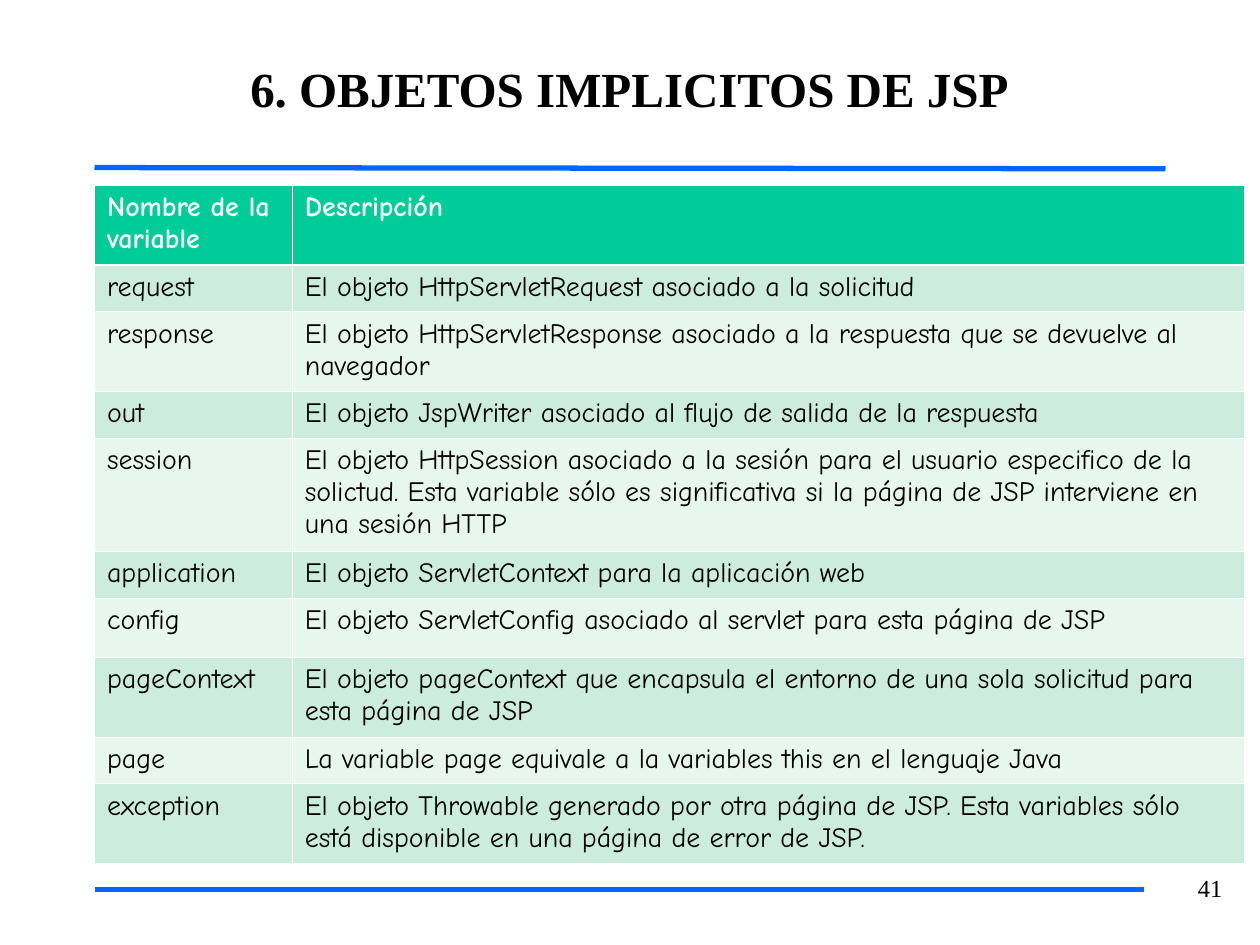
from lxml.etree import SubElement as Sub
from pptx import Presentation
from pptx.dml.color import RGBColor
from pptx.enum.shapes import MSO_CONNECTOR as Conn
from pptx.enum.text import MSO_ANCHOR as Anchor, PP_ALIGN as Align
from pptx.oxml.ns import qn
from pptx.util import Inches, Pt

BLACK = RGBColor(0x00, 0x00, 0x00)
WHITE = RGBColor(0xFF, 0xFF, 0xFF)
BLUE = RGBColor(0x00, 0x66, 0xFF)
GREEN = RGBColor(0x00, 0xCC, 0x99)
MINT = RGBColor(0xCB, 0xEC, 0xDE)
PALE = RGBColor(0xE7, 0xF6, 0xEF)

ROWS = [
    (0.63, "Nombre de la variable", "Descripción"),
    (0.37, "request", "El objeto HttpServletRequest asociado a la solicitud"),
    (0.63, "response", "El objeto HttpServletResponse asociado a la respuesta "
     "que se devuelve al navegador"),
    (0.37, "out", "El objeto JspWriter asociado al flujo de salida de la respuesta"),
    (0.9, "session", "El objeto HttpSession asociado a la sesión para el usuario "
     "especifico de la solictud. Esta variable sólo es significativa si la página "
     "de JSP interviene en una sesión HTTP"),
    (0.37, "application", "El objeto ServletContext para la aplicación web"),
    (0.47, "config", "El objeto ServletConfig asociado al servlet para esta página de JSP"),
    (0.63, "pageContext", "El objeto pageContext que encapsula el entorno de una "
     "sola solicitud para esta página de JSP"),
    (0.37, "page", "La variable page equivale a la variables this en el lenguaje Java"),
    (0.63, "exception", "El objeto Throwable generado por otra página de JSP. Esta "
     "variables sólo está disponible en una página de error de JSP."),
]


def write(frame, text, font="Times New Roman", size=14, color=BLACK,
          bold=False, align=Align.LEFT, space=None):
    par = frame.paragraphs[0]
    par.alignment = align
    if space:
        par.line_spacing = space
    run = par.add_run()
    run.text = text
    run.font.name = font
    run.font.size = Pt(size)
    run.font.bold = bold
    run.font.color.rgb = color


def edge(cell, side, width):
    line = Sub(cell._tc.get_or_add_tcPr(), qn(f"a:ln{side}"), w=str(Pt(width)))
    fill = Sub(line, qn("a:solidFill"))
    Sub(fill, qn("a:srgbClr"), val=str(WHITE))


class Page:
    font = "Comic Neue"
    size = 16
    thin = 0.45
    thick = 1.47

    def __init__(self, deck):
        self.slide = deck.slides.add_slide(deck.slide_layouts[5])
        self.shapes = self.slide.shapes

    def title(self, text, left, top, width, height):
        box = self.shapes.title
        box.left, box.top = Inches(left), Inches(top)
        box.width, box.height = Inches(width), Inches(height)
        frame = box.text_frame
        frame.margin_left = frame.margin_right = 0
        frame.margin_top = frame.margin_bottom = 0
        frame.vertical_anchor = Anchor.MIDDLE
        write(frame, text, size=28, bold=True, align=Align.CENTER)

    def rule(self, x1, y1, x2, y2):
        line = self.shapes.add_connector(
            Conn.STRAIGHT, Inches(x1), Inches(y1), Inches(x2), Inches(y2))
        line.line.color.rgb = BLUE
        line.line.width = Pt(3)
        Sub(line._element.spPr, qn("a:effectLst"))

    def number(self, text, left, top, width, height):
        box = self.shapes.add_textbox(
            Inches(left), Inches(top), Inches(width), Inches(height))
        box.text_frame.word_wrap = True
        write(box.text_frame, text, align=Align.RIGHT, space=0.93)

    def table(self, rows, left, top, cols):
        high = sum(row[0] for row in rows)
        grid = self.shapes.add_table(
            len(rows), len(cols), Inches(left), Inches(top),
            Inches(sum(cols)), Inches(high)).table
        for col, width in zip(grid.columns, cols):
            col.width = Inches(width)
        for i, (height, *texts) in enumerate(rows):
            grid.rows[i].height = Inches(height)
            for j, text in enumerate(texts):
                self.cell(grid.cell(i, j), text, i)

    def cell(self, cell, text, row):
        head = row == 0
        for side in "LRTB":
            heavy = (side, row) in (("B", 0), ("T", 1))
            edge(cell, side, self.thick if heavy else self.thin)
        cell.fill.solid()
        cell.fill.fore_color.rgb = GREEN if head else (PALE, MINT)[row % 2]
        write(cell.text_frame, text, font=self.font, size=self.size,
              color=WHITE if head else BLACK, bold=head)


def main():
    deck = Presentation()
    deck.slide_width, deck.slide_height = Inches(10), Inches(7.5)
    page = Page(deck)
    page.rule(0.75, 1.33, 9.25, 1.34)
    page.rule(0.75, 7.06, 8.92, 7.06)
    page.number("41", 9.36, 6.9, 0.44, 0.32)
    page.rule(0.92, 7.06, 9.08, 7.06)
    page.table(ROWS, 0.75, 1.47, (1.57, 7.56))
    page.title("6. OBJETOS IMPLICITOS DE JSP", 0.75, 0.09, 8.49, 1.22)
    deck.save("out.pptx")


if __name__ == "__main__":
    main()
